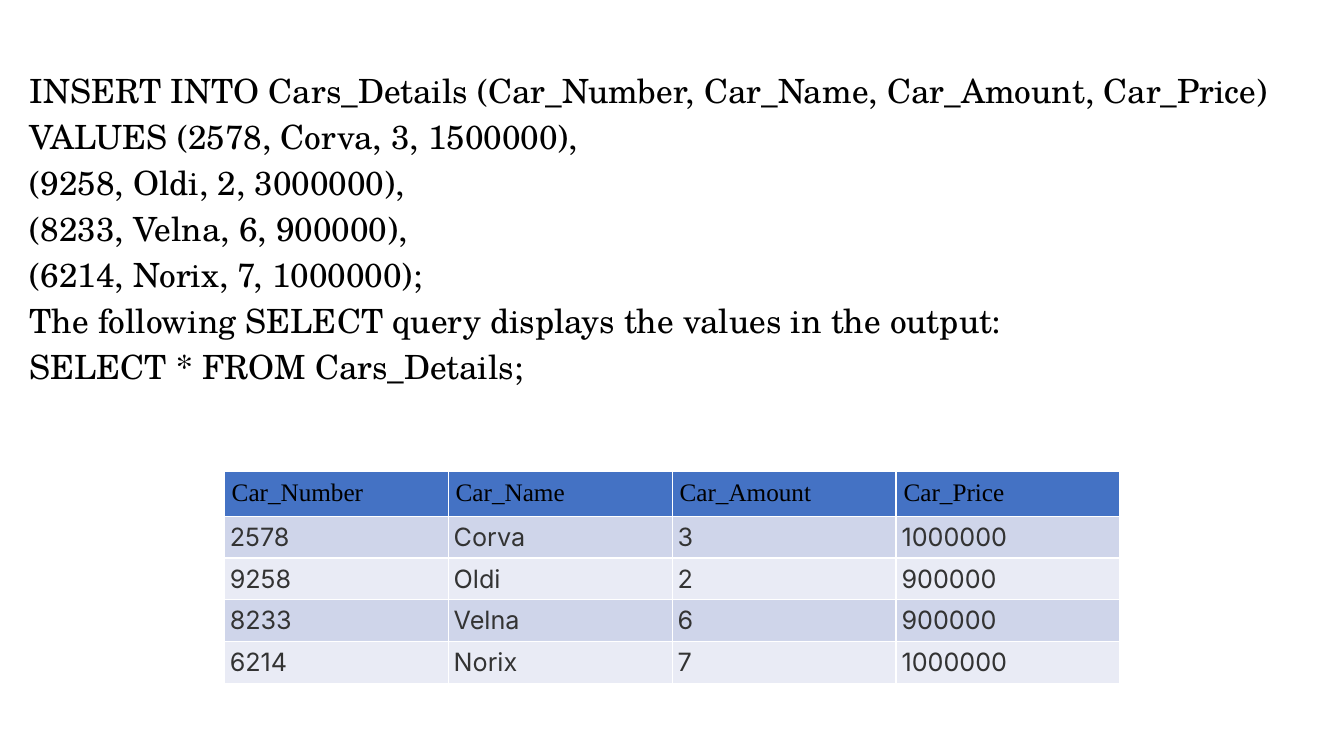
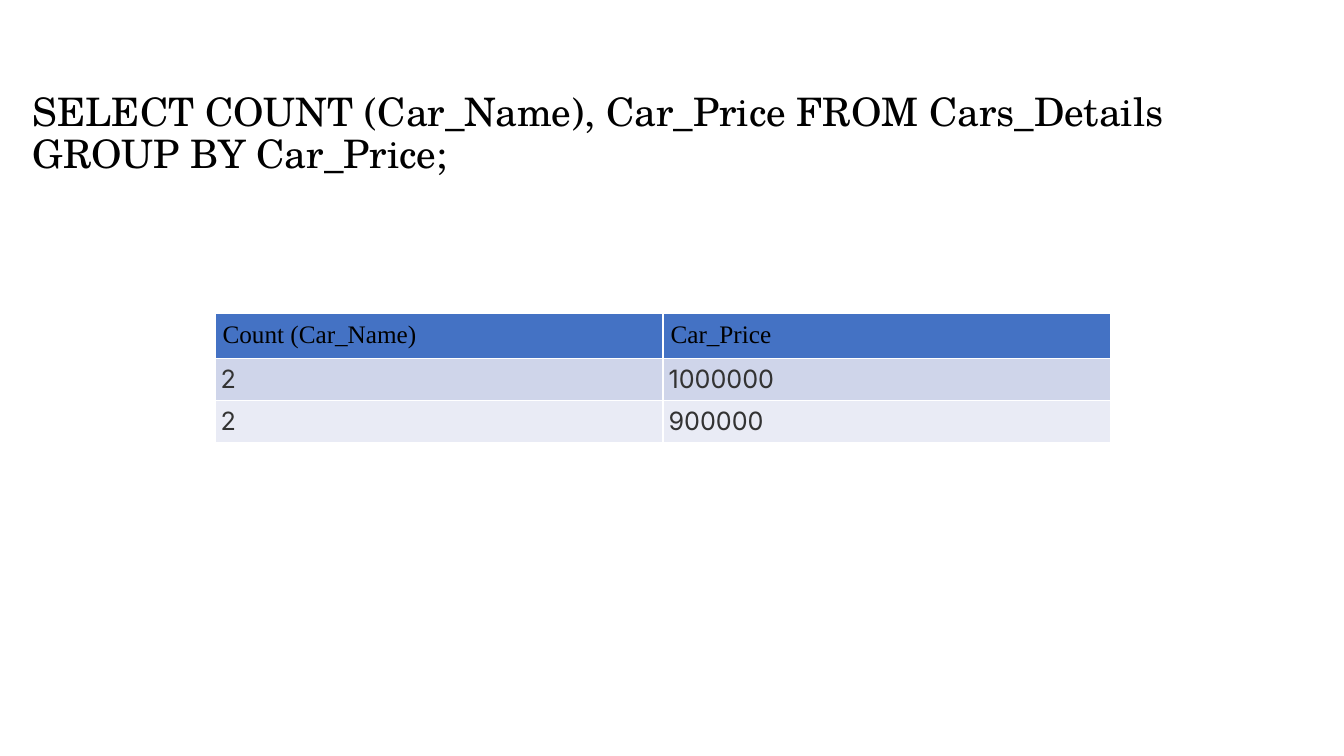
"""Build two slides that show SQL statements and their result tables."""
from pptx import Presentation
from pptx.dml.color import RGBColor
from pptx.enum.text import MSO_ANCHOR, PP_ALIGN
from pptx.util import Cm, Pt

BLACK = RGBColor(0x00, 0x00, 0x00)
DARK_GRAY = RGBColor(0x33, 0x33, 0x33)
HEADER_BLUE = RGBColor(0x44, 0x72, 0xC4)
BAND_COLORS = (RGBColor(0xCF, 0xD5, 0xEA), RGBColor(0xE9, 0xEB, 0xF5))

STATEMENT_FONT = "TeX Gyre Schola"
HEADER_FONT = "Times New Roman"
BODY_FONT = "Inter"

TABLE_WIDTH = Cm(22.58)
HEADER_HEIGHT = Cm(1.11)
ROW_HEIGHT = Cm(1.05)
HEADER_MARGIN = Cm(0.19)
BODY_MARGIN = Cm(0.14)

INSERT_LINES = (
    "INSERT INTO Cars_Details (Car_Number, Car_Name, Car_Amount, Car_Price)",
    "VALUES (2578, Corva, 3, 1500000),",
    "(9258, Oldi, 2, 3000000),",
    "(8233, Velna, 6, 900000),",
    "(6214, Norix, 7, 1000000);",
    "The following SELECT query displays the values in the output:",
    "SELECT * FROM Cars_Details;",
)
CAR_ROWS = (
    ("Car_Number", "Car_Name", "Car_Amount", "Car_Price"),
    ("2578", "Corva", "3", "1000000"),
    ("9258", "Oldi", "2", "900000"),
    ("8233", "Velna", "6", "900000"),
    ("6214", "Norix", "7", "1000000"),
)
GROUP_LINES = (
    "SELECT COUNT (Car_Name), Car_Price FROM Cars_Details GROUP BY Car_Price;",
)
COUNT_ROWS = (
    ("Count (Car_Name)", "Car_Price"),
    ("2", "1000000"),
    ("2", "900000"),
)


def format_runs(paragraph, font_name, size, color):
    """Give all runs of a paragraph the same plain font."""
    for run in paragraph.runs:
        run.font.name = font_name
        run.font.size = Pt(size)
        run.font.bold = False
        run.font.color.rgb = color


def add_statement(slide, lines, left, top, width, height, size, line_spacing):
    """Add a text box with one paragraph for each line."""
    text_frame = slide.shapes.add_textbox(left, top, width, height).text_frame
    text_frame.word_wrap = True
    text_frame.text = "\n".join(lines)
    for paragraph in text_frame.paragraphs:
        paragraph.line_spacing = line_spacing
        paragraph.space_before = Pt(10)
        format_runs(paragraph, STATEMENT_FONT, size, BLACK)


def fill_cell(cell, text, is_header, color):
    """Write and format one table cell."""
    margin = HEADER_MARGIN if is_header else BODY_MARGIN
    cell.margin_left = cell.margin_right = margin
    cell.margin_top = cell.margin_bottom = margin
    cell.vertical_anchor = MSO_ANCHOR.TOP
    cell.fill.solid()
    cell.fill.fore_color.rgb = color
    cell.text_frame.text = text
    paragraph = cell.text_frame.paragraphs[0]
    if is_header:
        format_runs(paragraph, HEADER_FONT, 18, BLACK)
    else:
        paragraph.alignment = PP_ALIGN.JUSTIFY
        format_runs(paragraph, BODY_FONT, 18, DARK_GRAY)


def add_result_table(slide, rows, left, top):
    """Add a banded table whose first row is the header."""
    column_count = len(rows[0])
    height = HEADER_HEIGHT + ROW_HEIGHT * (len(rows) - 1)
    table = slide.shapes.add_table(
        len(rows), column_count, left, top, TABLE_WIDTH, height
    ).table
    for column in table.columns:
        column.width = TABLE_WIDTH // column_count
    for row_index, values in enumerate(rows):
        is_header = row_index == 0
        table.rows[row_index].height = HEADER_HEIGHT if is_header else ROW_HEIGHT
        color = HEADER_BLUE if is_header else BAND_COLORS[(row_index - 1) % 2]
        for column_index, text in enumerate(values):
            fill_cell(table.cell(row_index, column_index), text, is_header, color)


def main():
    """Build and save the presentation."""
    presentation = Presentation()
    presentation.slide_width = Cm(33.87)
    presentation.slide_height = Cm(19.05)
    blank_layout = presentation.slide_layouts[6]

    insert_slide = presentation.slides.add_slide(blank_layout)
    add_statement(insert_slide, INSERT_LINES, Cm(0.5), Cm(1.85),
                  Cm(32.77), Cm(8.56), 23.8, 0.8)
    add_result_table(insert_slide, CAR_ROWS, Cm(5.65), Cm(11.87))

    group_slide = presentation.slides.add_slide(blank_layout)
    add_statement(group_slide, GROUP_LINES, Cm(0.58), Cm(2.2),
                  Cm(32.61), Cm(3.5), 28, 0.9)
    add_result_table(group_slide, COUNT_ROWS, Cm(5.42), Cm(7.9))

    presentation.save("out.pptx")


if __name__ == "__main__":
    main()
